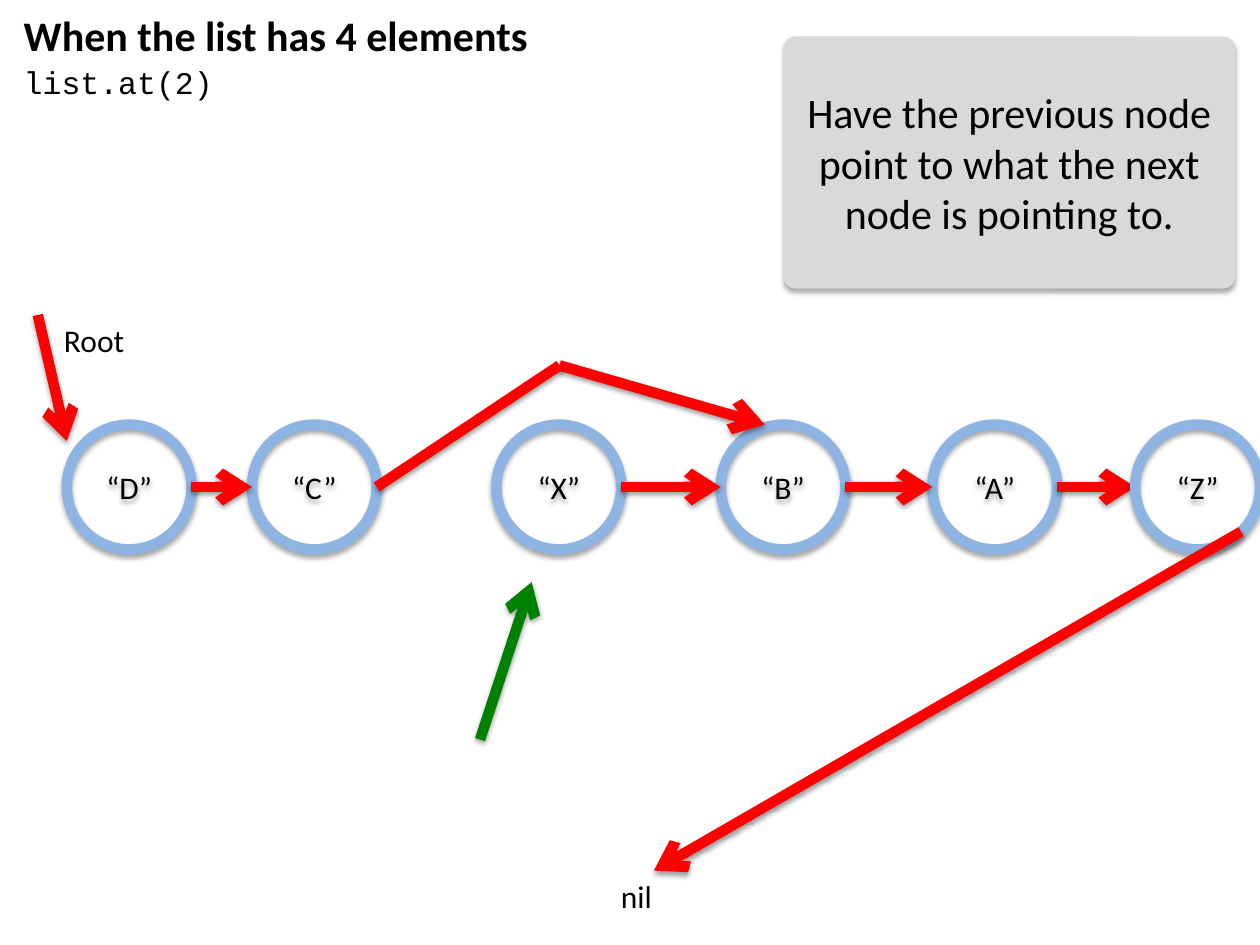
from dataclasses import dataclass
from itertools import pairwise
from typing import Any, NamedTuple

from lxml.etree import SubElement
from pptx import Presentation
from pptx.dml.color import RGBColor
from pptx.enum.shapes import MSO_CONNECTOR, MSO_SHAPE
from pptx.enum.text import MSO_ANCHOR, MSO_AUTO_SIZE, PP_ALIGN
from pptx.oxml.ns import qn
from pptx.util import Inches, Pt

CELL = Inches(0.1)
COLUMNS, ROWS = 100, 75


@dataclass(frozen=True)
class Theme:
    body_font: str = "Calibri"
    code_font: str = "Courier New"
    large: int = 24
    normal: int = 18
    stroke: int = 6
    text: str = "000000"
    panel: str = "D9D9D9"
    ring: str = "8EB4E3"
    link: str = "FF0000"
    cursor: str = "008000"


THEME = Theme()
BODY = {"name": THEME.body_font, "size": Pt(THEME.normal)}
LARGE = BODY | {"size": Pt(THEME.large)}
TITLE = LARGE | {"bold": True}
CODE = BODY | {"name": THEME.code_font}


class Point(NamedTuple):
    column: float
    row: float


class Box(NamedTuple):
    column: float
    row: float
    width: float
    height: float


class Label(NamedTuple):
    box: Box
    text: str
    format: dict[str, Any]


class Pointer(NamedTuple):
    start: Point
    end: Point
    color: str = THEME.link
    arrow: bool = True


@dataclass(frozen=True)
class Node:
    value: str
    column: float
    row: float = 33.7
    size: float = 9.9

    @property
    def box(self) -> Box:
        return Box(self.column, self.row, self.size, self.size)

    @property
    def left(self) -> Point:
        return Point(self.column, self.row + self.size / 2)

    @property
    def right(self) -> Point:
        return Point(self.column + self.size, self.row + self.size / 2)


NODES = [
    Node("D", 5.3), Node("C", 20), Node("X", 39.4),
    Node("B", 57.2), Node("A", 74), Node("Z", 90.1),
]
D, C, X, B, A, Z = NODES
DETOUR = Point(44.4, 29)
LINKS = [
    Pointer(before.right, after.left)
    for before, after in pairwise(NODES) if before != C
]
POINTERS = [
    Pointer(Point(3, 25), Point(5.3, 35)),
    Pointer(DETOUR, Point(60.7, 33.7)),
    Pointer(Point(98.5, 42.2), Point(51.9, 69.1)),
    Pointer(Point(38.1, 58.7), Point(42.2, 46.2), THEME.cursor),
    Pointer(DETOUR, C.right, arrow=False),
]
LABELS = [
    Label(Box(4.1, 25, 8.4, 4), "Root", BODY),
    Label(Box(0.9, 4.5, 81.6, 4), "list.at(2)", CODE),
    Label(Box(0.9, 0.3, 44.4, 5), "When the list has 4 elements", TITLE),
    Label(Box(48.3, 69.1, 7.1, 4), "nil", BODY),
]
PANEL = Label(
    Box(62.2, 2.9, 35.8, 20),
    "Have the previous node point to what the next node is pointing to.",
    LARGE,
)


def cells(lengths: tuple[float, ...]) -> list[int]:
    """Turn grid units into slide lengths."""
    return [round(length * CELL) for length in lengths]


def add_shadow(shape: Any, distance: float, opacity: int) -> None:
    effects = SubElement(shape._element.spPr, qn("a:effectLst"))
    shadow = SubElement(
        effects, qn("a:outerShdw"), blurRad=str(Pt(3.1)),
        dist=str(Pt(distance)), dir="5400000", rotWithShape="0",
    )
    color = SubElement(shadow, qn("a:srgbClr"), val=THEME.text)
    SubElement(color, qn("a:alpha"), val=str(opacity * 1000))


def write(shape: Any, text: str, format: dict[str, Any]) -> None:
    shape.text_frame.word_wrap = True
    paragraph = shape.text_frame.paragraphs[0]
    run = paragraph.add_run()
    run.text = text
    for name, value in format.items():
        setattr(run.font, name, value)
    run.font.color.rgb = RGBColor.from_string(THEME.text)


def add_label(slide: Any, label: Label) -> None:
    shape = slide.shapes.add_textbox(*cells(label.box))
    write(shape, label.text, label.format)
    shape.text_frame.auto_size = MSO_AUTO_SIZE.SHAPE_TO_FIT_TEXT


def add_centred_shape(slide: Any, kind: MSO_SHAPE, label: Label) -> Any:
    shape = slide.shapes.add_shape(kind, *cells(label.box))
    write(shape, label.text, label.format)
    shape.text_frame.vertical_anchor = MSO_ANCHOR.MIDDLE
    shape.text_frame.paragraphs[0].alignment = PP_ALIGN.CENTER
    return shape


def add_panel(slide: Any, label: Label) -> None:
    shape = add_centred_shape(slide, MSO_SHAPE.ROUNDED_RECTANGLE, label)
    shape.adjustments[0] = 0.045
    shape.fill.solid()
    shape.fill.fore_color.rgb = RGBColor.from_string(THEME.panel)
    shape.line.fill.background()
    add_shadow(shape, 1.8, 35)


def add_node(slide: Any, node: Node) -> None:
    label = Label(node.box, f"“{node.value}”", BODY)
    shape = add_centred_shape(slide, MSO_SHAPE.OVAL, label)
    shape.fill.background()
    shape.line.color.rgb = RGBColor.from_string(THEME.ring)
    shape.line.width = Pt(THEME.stroke)
    add_shadow(shape, 1.8, 35)


def add_pointer(slide: Any, pointer: Pointer) -> None:
    connector = slide.shapes.add_connector(
        MSO_CONNECTOR.STRAIGHT, *cells(pointer.start + pointer.end))
    connector.line.color.rgb = RGBColor.from_string(pointer.color)
    connector.line.width = Pt(THEME.stroke)
    if pointer.arrow:
        SubElement(connector.line._get_or_add_ln(), qn("a:tailEnd"), type="arrow")
    add_shadow(connector, 1.6, 38)


def main() -> None:
    presentation = Presentation()
    presentation.slide_width, presentation.slide_height = cells((COLUMNS, ROWS))
    slide = presentation.slides.add_slide(presentation.slide_layouts[6])
    for label in LABELS:
        add_label(slide, label)
    add_panel(slide, PANEL)
    for node in NODES[:-1]:
        add_node(slide, node)
    for link in LINKS:
        add_pointer(slide, link)
    add_node(slide, Z)
    for pointer in POINTERS:
        add_pointer(slide, pointer)
    presentation.save("out.pptx")


if __name__ == "__main__":
    main()
